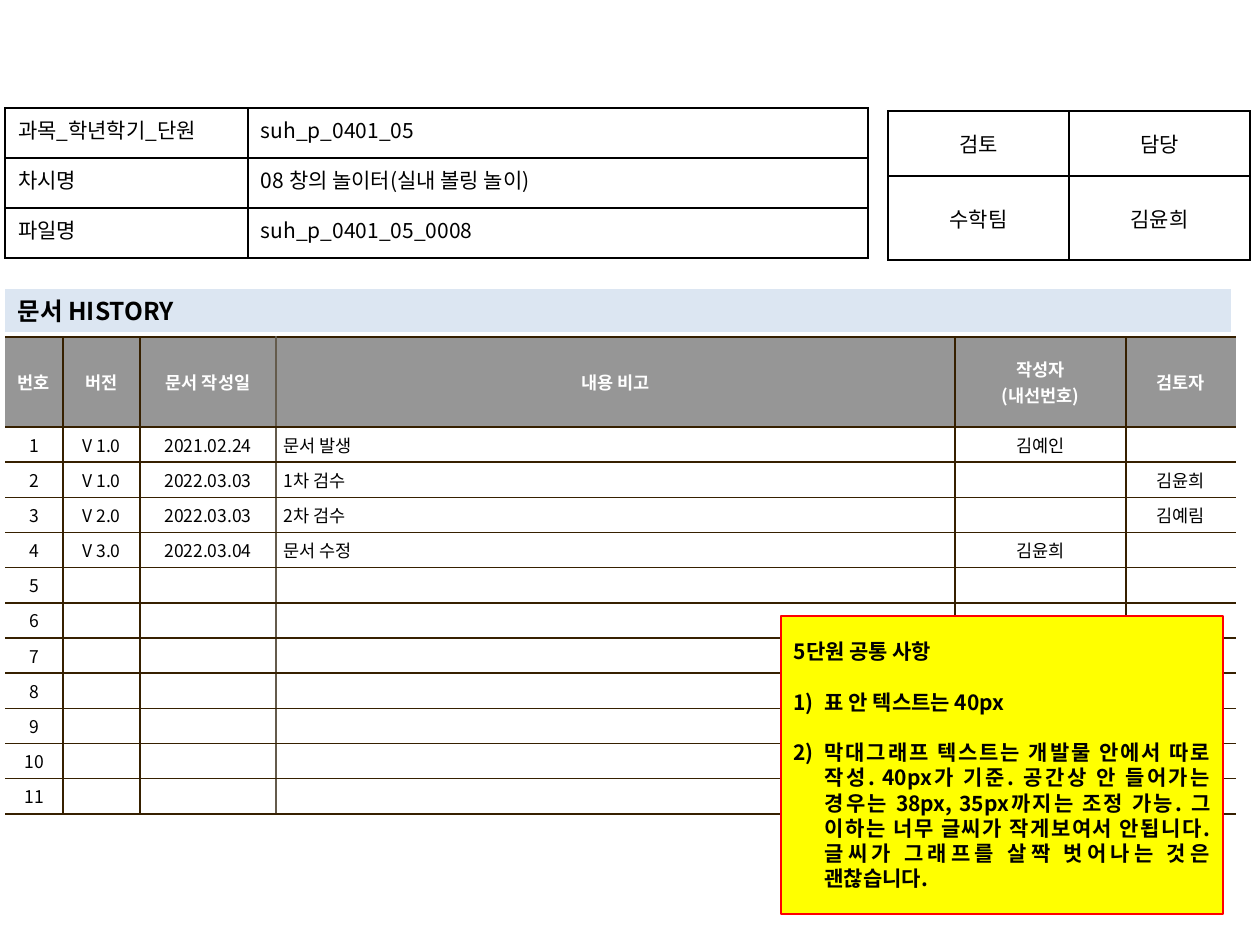
"""Build the document history slide with its header tables and note."""
from dataclasses import dataclass

from lxml.etree import SubElement as Sub
from pptx import Presentation
from pptx.dml.color import RGBColor as Rgb
from pptx.enum.text import MSO_ANCHOR as Anchor, MSO_AUTO_SIZE as Fit, PP_ALIGN as Align
from pptx.oxml.ns import qn
from pptx.util import Emu, Pt

FONT = "Noto Sans CJK KR"
BLACK = Rgb(0x00, 0x00, 0x00)
WHITE = Rgb(0xFF, 0xFF, 0xFF)
GRAY = Rgb(0x96, 0x96, 0x96)
BROWN = Rgb(0x36, 0x20, 0x00)
TAUPE = Rgb(0x64, 0x5B, 0x4C)
BLUE = Rgb(0xDC, 0xE6, 0xF2)
YELLOW = Rgb(0xFF, 0xFF, 0x00)
RED = Rgb(0xFF, 0x00, 0x00)
LEFT, MID, JUST = Align.LEFT, Align.CENTER, Align.JUSTIFY


def px(count: int) -> Emu:
    """Turn px into EMU."""
    return Emu(round(count * 914400 / 126))


@dataclass
class Box:
    """Hold a place in px."""
    left: int
    top: int
    width: int
    height: int


@dataclass
class Grid:
    """Describe one table."""
    left: int
    top: int
    cols: list[int]
    rows: list[int]
    text: list[list[str]]
    aligns: list[Align]
    size: int
    line: Rgb
    anchor: Anchor = Anchor.MIDDLE
    pad: tuple[int, int] = (13, 6)


def style(frame, size: int, color: Rgb, align: Align, bold: bool = False) -> None:
    """Format all the text of a frame."""
    for para in frame.paragraphs:
        para.alignment = align
        for run in para.runs:
            font = run.font
            font.size, font.bold, font.name = Pt(size), bold, FONT
            font.color.rgb = color
            Sub(font._element, qn("a:ea"), typeface=FONT)
        if not para.runs:
            Sub(para._p, qn("a:endParaRPr"), sz=str(size * 100))


def edge(cell, side: str, color: Rgb | None) -> None:
    """Give one side of a cell a thin line, or none."""
    line = Sub(cell._tc.get_or_add_tcPr(), qn(f"a:ln{side}"), w=str(Pt(1)))
    if color is None:
        Sub(line, qn("a:noFill"))
    else:
        Sub(Sub(line, qn("a:solidFill")), qn("a:srgbClr"), val=str(color))


def draw_grid(slide, grid: Grid):
    """Draw a table with borders and plain text."""
    table = slide.shapes.add_table(
        len(grid.rows), len(grid.cols), px(grid.left), px(grid.top),
        px(sum(grid.cols)), px(sum(grid.rows))).table
    table.first_row = table.horz_banding = False
    for col, width in zip(table.columns, grid.cols):
        col.width = px(width)
    for row, high, words in zip(table.rows, grid.rows, grid.text):
        row.height = px(high)
        for cell, word, align in zip(row.cells, words, grid.aligns):
            cell.text_frame.text = word
            cell.vertical_anchor = grid.anchor
            cell.margin_left = cell.margin_right = px(grid.pad[0])
            cell.margin_top = cell.margin_bottom = px(grid.pad[1])
            style(cell.text_frame, grid.size, BLACK, align)
    return table


def rule(table, line: Rgb, seams: dict[int, Rgb | None]) -> None:
    """Border each cell, with other colours at the given column seams."""
    for row in table.rows:
        for at, cell in enumerate(row.cells):
            edge(cell, "L", seams.get(at, line))
            edge(cell, "R", seams.get(at + 1, line))
            edge(cell, "T", line)
            edge(cell, "B", line)
            cell.fill.background()


def draw_log(slide, grid: Grid) -> None:
    """Draw the history table with its dark header."""
    table = draw_grid(slide, grid)
    rule(table, grid.line, {0: None, 3: TAUPE, len(grid.cols): None})
    for at, row in enumerate(table.rows):
        for cell in row.cells:
            cell.fill.solid()
            cell.fill.fore_color.rgb = WHITE if at else GRAY
            if at == 0:
                for para in cell.text_frame.paragraphs:
                    para.alignment = MID
                    for run in para.runs:
                        run.font.bold = True
                        run.font.color.rgb = WHITE


def place(shape, box: Box, text: str, fill: Rgb, size: int, align: Align) -> None:
    """Move, fill and word a placeholder."""
    shape.left, shape.top = px(box.left), px(box.top)
    shape.width, shape.height = px(box.width), px(box.height)
    shape.fill.solid()
    shape.fill.fore_color.rgb = fill
    frame = shape.text_frame
    frame.text = text
    frame.word_wrap, frame.auto_size = True, Fit.NONE
    frame.vertical_anchor = Anchor.MIDDLE
    style(frame, size, BLACK, align, True)


def draw_note(note) -> None:
    """Draw the note with its numbered list on top."""
    place(note, Box(781, 616, 442, 298), "\n".join(NOTE), YELLOW, 12, JUST)
    note.line.color.rgb, note.line.width = RED, Pt(1)
    for at, para in enumerate(note.text_frame.paragraphs):
        para.line_spacing = Pt(14.4)
        para.space_before = Pt(14.4 if at else 0)
        props = para._p.get_or_add_pPr()
        props.set("marL", str(px(31 if at else 0)))
        props.set("indent", str(px(-31 if at else 0)))
        if at:
            Sub(props, qn("a:buFont"), typeface="+mj-lt")
            Sub(props, qn("a:buAutoNum"), type="arabicParenR")
        else:
            Sub(props, qn("a:buNone"))
    note.element.getparent().append(note.element)


HEAD = ["번호", "버전", "문서 작성일", "내용 비고", "작성자\n(내선번호)", "검토자"]
LOGS = [
    ["V 1.0", "2021.02.24", "문서 발생", "김예인", ""],
    ["V 1.0", "2022.03.03", "1차 검수", "", "김윤희"],
    ["V 2.0", "2022.03.03", "2차 검수", "", "김예림"],
    ["V 3.0", "2022.03.04", "문서 수정", "김윤희", ""],
] + [[""] * 5] * 7
BODY = [[str(num), *log] for num, log in enumerate(LOGS, 1)]
NOTE = [
    "5단원 공통 사항",
    "표 안 텍스트는 40px",
    "막대그래프 텍스트는 개발물 안에서 따로 작성. 40px가 기준. 공간상 안 들어가는 경우는 "
    "38px, 35px까지는 조정 가능. 그 이하는 너무 글씨가 작게보여서 안됩니다. "
    "글씨가 그래프를 살짝 벗어나는 것은 괜찮습니다.",
]
LOG = Grid(5, 337, [58, 77, 136, 679, 171, 110], [90] + [31] * 11, [HEAD, *BODY],
           [MID, MID, MID, LEFT, MID, MID], 10, BROWN, pad=(8, 5))
SIGN = Grid(888, 111, [181, 181], [65, 84], [["검토", "담당"], ["수학팀", "김윤희"]],
            [MID, MID], 12, BLACK)
INFO = Grid(5, 108, [243, 620], [50] * 3, [
    ["과목_학년학기_단원", "suh_p_0401_05"],
    ["차시명", "08 창의 놀이터(실내 볼링 놀이)"],
    ["파일명", "suh_p_0401_05_0008"],
], [JUST, LEFT], 12, BLACK, Anchor.TOP)


def main() -> None:
    """Build and save the slide."""
    deck = Presentation()
    deck.slide_width, deck.slide_height = px(1260), px(945)
    slide = deck.slides.add_slide(deck.slide_layouts[1])
    title, note = slide.placeholders
    place(title, Box(5, 289, 1226, 43), "문서 HISTORY", BLUE, 14, LEFT)
    draw_log(slide, LOG)
    for grid in (SIGN, INFO):
        rule(draw_grid(slide, grid), grid.line, {})
    draw_note(note)
    deck.save("out.pptx")


if __name__ == "__main__":
    main()
